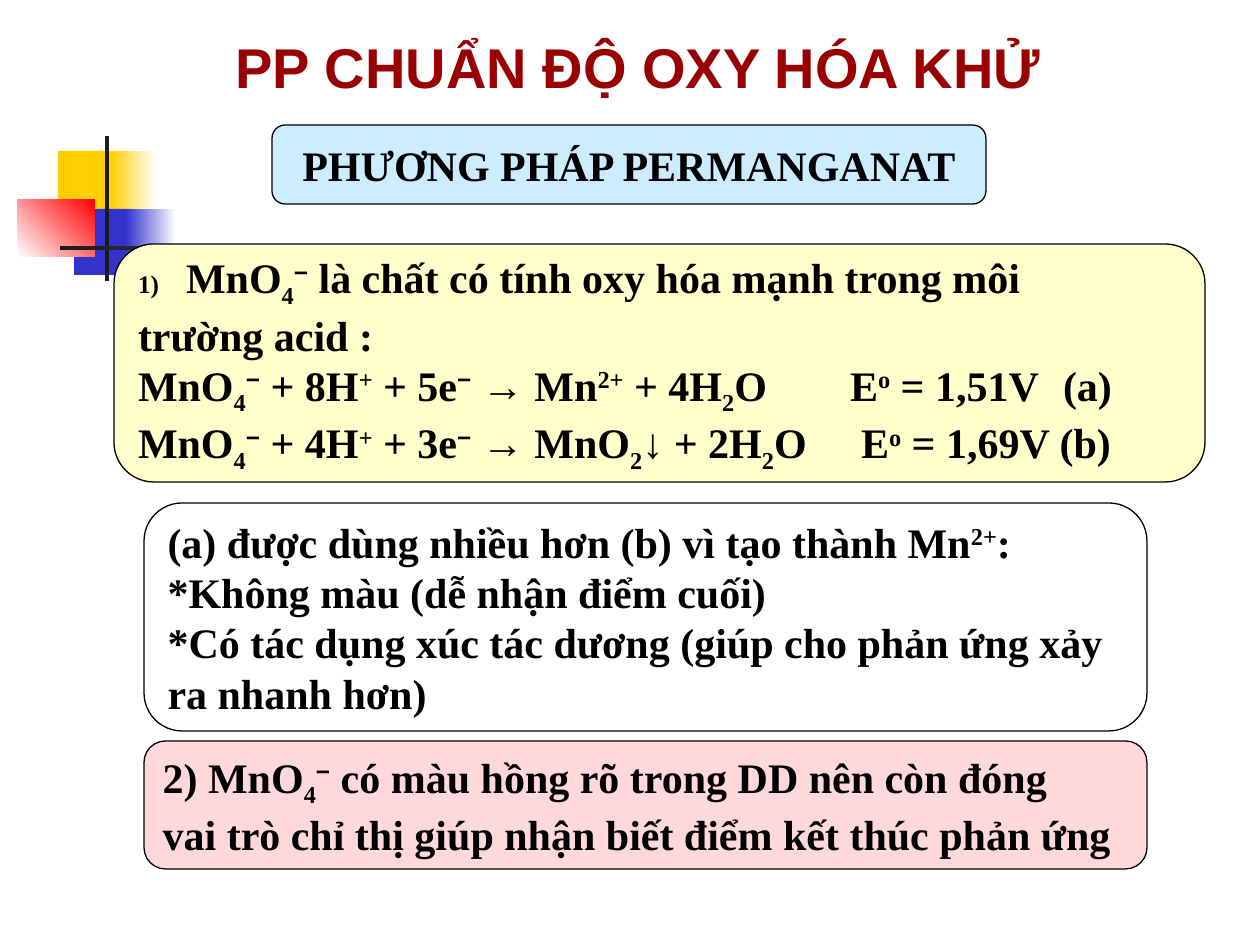
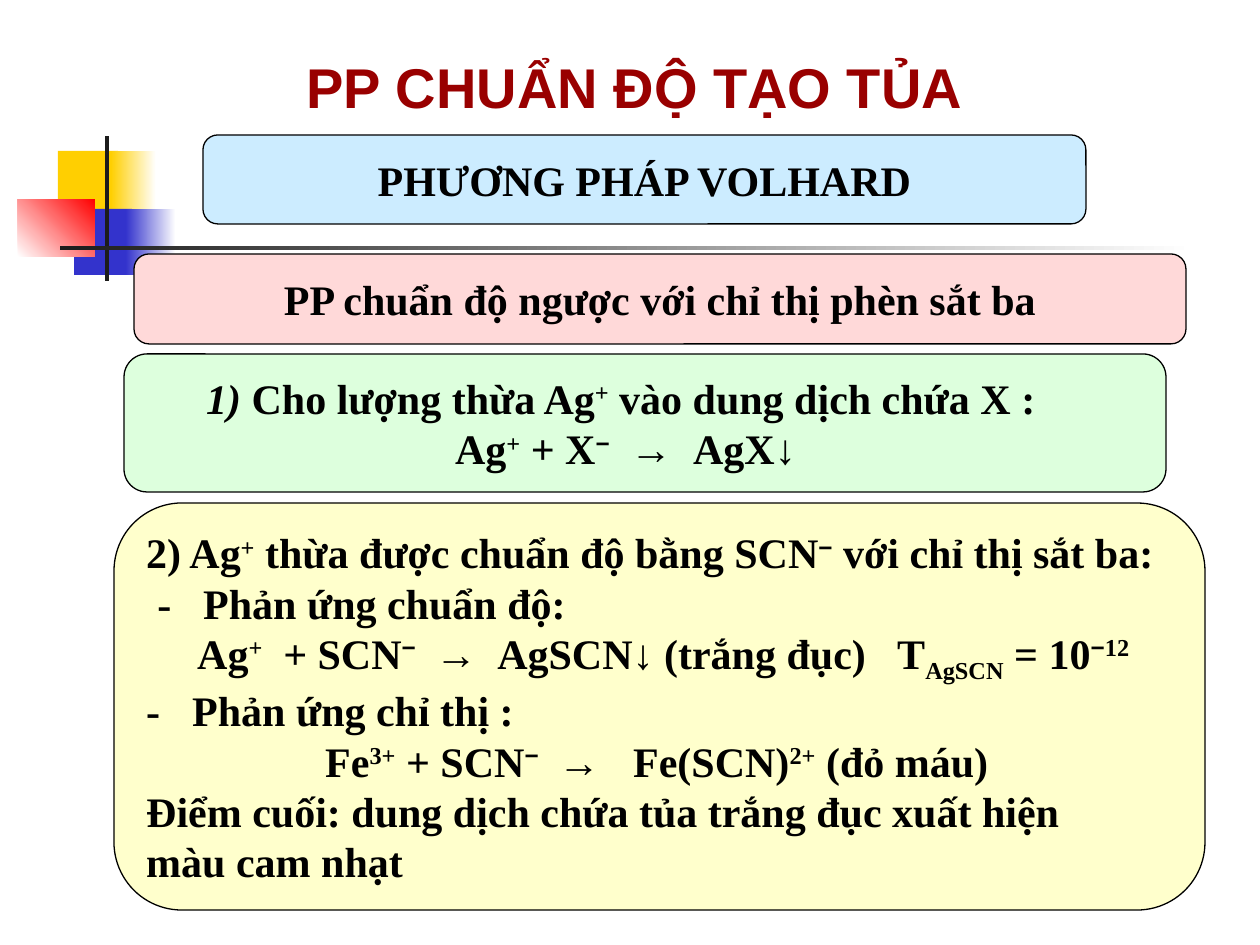
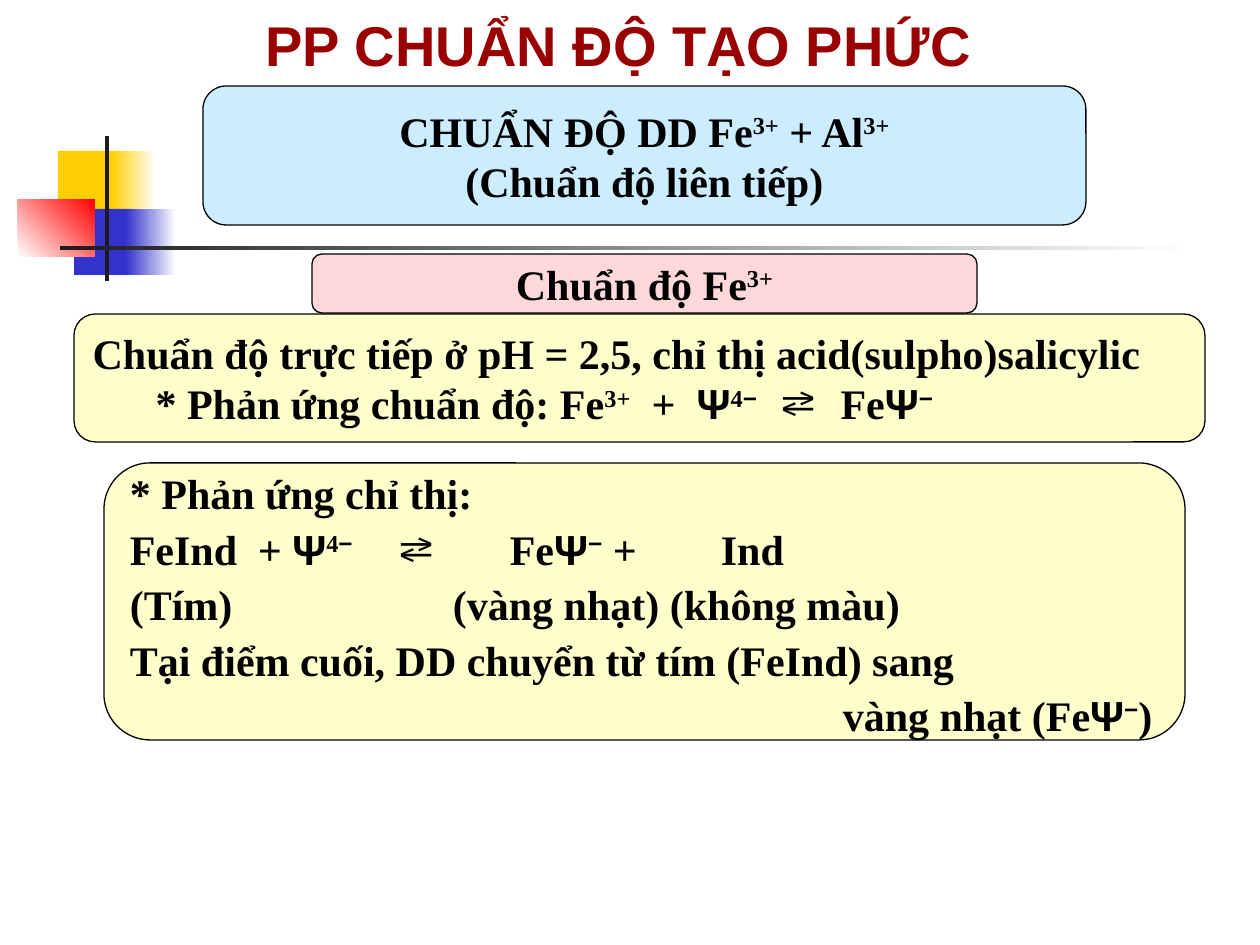
from dataclasses import dataclass
from itertools import groupby

from lxml import etree
from pptx import Presentation
from pptx.dml.color import RGBColor
from pptx.enum.shapes import MSO_SHAPE
from pptx.enum.text import MSO_ANCHOR, MSO_AUTO_SIZE, PP_ALIGN
from pptx.oxml.ns import qn
from pptx.util import Emu, Pt

RECT = MSO_SHAPE.RECTANGLE
ROUNDED = MSO_SHAPE.ROUNDED_RECTANGLE
MIDDLE = MSO_ANCHOR.MIDDLE
NO_AUTOFIT = MSO_AUTO_SIZE.NONE
LEFT = PP_ALIGN.LEFT
CENTER = PP_ALIGN.CENTER

PX_PER_INCH = 126
TITLE_ONLY = 5
SUB, SUP, ITALIC = "~^/"


def px(value):
    return Emu(round(value * 914400 / PX_PER_INCH))


@dataclass(frozen=True)
class Theme:
    title_font: str = "Arial"
    body_font: str = "Times New Roman"
    symbol_font: str = "Arial"
    symbols: str = "−↓→Ψ"
    title_size: int = 32
    body_size: int = 24
    number_size: int = 60
    outline: float = 0.75
    title: str = "990000"
    text: str = "000000"
    white: str = "FFFFFF"
    blue: str = "CCECFF"
    yellow: str = "FFFFCC"
    pink: str = "FFD9D9"
    green: str = "DDFFDD"
    band_yellow: str = "FFCF01"
    band_blue: str = "3333CC"
    band_red: str = "FF0000"
    band_dark: str = "1C1C1C"


@dataclass(frozen=True)
class Line:
    text: str
    tabs: tuple = ()
    indent: int = 0
    numbered: bool = False


class Deck:
    def __init__(self, theme):
        self.theme = theme
        self.prs = Presentation()
        self.prs.slide_width = px(1260)
        self.prs.slide_height = px(945)
        self.s = None

    def slide(self, title, box):
        self.s = self.prs.slides.add_slide(self.prs.slide_layouts[TITLE_ONLY])
        self.bands()
        self.title(title, box)

    def title(self, text, box):
        sp = self.s.shapes.title
        sp.left, sp.top, sp.width, sp.height = map(px, box)
        tf = sp.text_frame
        tf.text = text
        tf.word_wrap = True
        tf.auto_size = NO_AUTOFIT
        tf.vertical_anchor = MIDDLE
        p = tf.paragraphs[0]
        p.alignment = LEFT
        self.font(p.runs[0], self.theme.title_font, self.theme.title_size, self.theme.title)

    def bands(self):
        t = self.theme
        self.band((58, 151, 60, 66), t.band_yellow)
        self.band((111, 151, 45, 66), t.band_yellow, t.white)
        self.band((74, 209, 58, 66), t.band_blue)
        self.band((126, 209, 50, 66), t.band_blue, t.white)
        self.band((18, 199, 77, 58), t.white, t.band_red, 45)
        self.band((105, 136, 4, 145), t.band_dark)
        self.band((60, 246, 1134, 4), t.band_dark, t.white)

    def band(self, box, color, fade_to=None, angle=0):
        sp = self.shape(RECT, box)
        sp.line.fill.background()
        if fade_to is None:
            self.solid(sp.fill, color)
            return
        sp.fill.gradient()
        sp.fill.gradient_angle = angle
        for stop, value in zip(sp.fill.gradient_stops, (color, fade_to)):
            stop.color.rgb = RGBColor.from_string(value)

    def box(self, box, color, *lines, align=LEFT, spacing=None):
        sp = self.shape(ROUNDED, box)
        self.solid(sp.fill, color)
        self.solid(sp.line.fill, self.theme.text)
        sp.line.width = Pt(self.theme.outline)
        tf = sp.text_frame
        tf.word_wrap = True
        tf.vertical_anchor = MIDDLE
        for i, line in enumerate(lines):
            p = tf.add_paragraph() if i else tf.paragraphs[0]
            p.alignment = align
            if spacing:
                p.line_spacing = spacing
            self.layout_line(p, line)
            self.runs(p, line.text)

    def layout_line(self, p, line):
        pPr = p._p.get_or_add_pPr()
        if line.numbered:
            pPr.set("marL", str(px(48)))
            pPr.set("indent", str(px(-48)))
            etree.SubElement(pPr, qn("a:buSzPct"), val=str(self.theme.number_size * 1000))
            etree.SubElement(pPr, qn("a:buAutoNum"), type="arabicParenR")
        elif line.indent:
            pPr.set("marL", str(px(line.indent)))
            pPr.set("indent", "0")
        elif line.tabs:
            tabs = etree.SubElement(pPr, qn("a:tabLst"))
            for pos in line.tabs:
                etree.SubElement(tabs, qn("a:tab"), pos=str(px(pos)), algn="l")

    def runs(self, p, text):
        active, styled = set(), []
        for char in text:
            if char in (SUB, SUP, ITALIC):
                active ^= {char}
            else:
                styled.append((char, char in self.theme.symbols, frozenset(active)))
        for (symbol, marks), chars in groupby(styled, key=lambda item: item[1:]):
            r = p.add_run()
            r.text = "".join(item[0] for item in chars)
            name = self.theme.symbol_font if symbol else self.theme.body_font
            self.font(r, name, self.theme.body_size, self.theme.text)
            if ITALIC in marks:
                r.font.italic = True
            for mark, baseline in ((SUB, "-25000"), (SUP, "30000")):
                if mark in marks:
                    r._r.get_or_add_rPr().set("baseline", baseline)

    def shape(self, kind, box):
        sp = self.s.shapes.add_shape(kind, *map(px, box))
        sp.shadow.inherit = False
        return sp

    def solid(self, fill, color):
        fill.solid()
        fill.fore_color.rgb = RGBColor.from_string(color)

    def font(self, r, name, size, color):
        r.font.name = name
        r.font.size = Pt(size)
        r.font.bold = True
        r.font.color.rgb = RGBColor.from_string(color)


def permanganate(deck):
    t = deck.theme
    deck.slide("PP CHUẨN ĐỘ OXY HÓA KHỬ", (223, 26, 866, 81))
    deck.box((272, 125, 714, 79), t.blue, Line("PHƯƠNG PHÁP PERMANGANAT"), align=CENTER)
    deck.box(
        (114, 244, 1091, 238), t.yellow,
        Line("MnO~4~^−^ là chất có tính oxy hóa mạnh trong môi", numbered=True),
        Line("trường acid :"),
        Line("MnO~4~^−^ + 8H^+^ + 5e^−^ → Mn^2+^ + 4H~2~O\tE^o^ = 1,51V\t(a)", (712, 925)),
        Line("MnO~4~^−^ + 4H^+^ + 3e^−^ → MnO~2~↓ + 2H~2~O\tE^o^ = 1,69V (b)", (723,)),
    )
    deck.box(
        (144, 741, 1003, 128), t.pink,
        Line("2) MnO~4~^−^ có màu hồng rõ trong DD nên còn đóng"),
        Line("vai trò chỉ thị giúp nhận biết điểm kết thúc phản ứng"),
    )
    deck.box(
        (144, 503, 1003, 228), t.white,
        Line("(a) được dùng nhiều hơn (b) vì tạo thành Mn^2+^:"),
        Line("*Không màu (dễ nhận điểm cuối)"),
        Line("*Có tác dụng xúc tác dương (giúp cho phản ứng xảy"),
        Line("ra nhanh hơn)"),
    )


def volhard(deck):
    t = deck.theme
    deck.slide("PP CHUẨN ĐỘ TẠO TỦA", (294, 46, 730, 81))
    deck.box((203, 135, 883, 89), t.blue, Line("PHƯƠNG PHÁP VOLHARD"), align=CENTER)
    deck.box((134, 254, 1052, 90), t.pink,
             Line("PP chuẩn độ ngược với chỉ thị phèn sắt ba"), align=CENTER)
    deck.box(
        (124, 354, 1042, 138), t.green,
        Line("/1) /Cho lượng thừa Ag^+^ vào dung dịch chứa X :", indent=63),
        Line("\tAg^+^ + X^−^\t→\tAgX↓", (312, 487, 550)),
    )
    deck.box(
        (114, 503, 1091, 407), t.yellow,
        Line("2) Ag^+^ thừa được chuẩn độ bằng SCN^−^ với chỉ thị sắt ba:"),
        Line("\t-\tPhản ứng chuẩn độ:", (11, 57)),
        Line("\tAg^+^\t+ SCN^−^\t→\tAgSCN↓ (trắng đục)\tT~AgSCN~ = 10^−12^",
             (51, 137, 289, 351, 751)),
        Line("-\tPhản ứng chỉ thị :", (46,)),
        Line("\tFe^3+^ + SCN^−^\t→\tFe(SCN)^2+^ (đỏ máu)", (179, 412, 487)),
        Line("Điểm cuối: dung dịch chứa tủa trắng đục xuất hiện"),
        Line("màu cam nhạt"),
    )


def complexation(deck):
    t = deck.theme
    deck.slide("PP CHUẨN ĐỘ TẠO PHỨC", (253, 4, 779, 81))
    deck.box((203, 86, 883, 139), t.blue, Line("CHUẨN ĐỘ DD Fe^3+^ + Al^3+^"),
             Line("(Chuẩn độ liên tiếp)"), align=CENTER)
    deck.box(
        (74, 314, 1131, 128), t.yellow,
        Line("Chuẩn độ trực tiếp ở pH = 2,5, chỉ thị acid(sulpho)salicylic"),
        Line("\t* Phản ứng chuẩn độ: Fe^3+^\t+\tΨ^4−^\t⇄\tFeΨ^−^",
             (63, 559, 604, 686, 748)),
    )
    deck.box((312, 254, 665, 59), t.pink, Line("Chuẩn độ Fe^3+^"), align=CENTER)
    deck.box(
        (104, 463, 1081, 277), t.yellow,
        Line("* Phản ứng chỉ thị:"),
        Line("FeInd\t+ Ψ^4−^\t⇄\tFeΨ^−^ +\tInd", (128, 267, 380, 591)),
        Line("(Tím)\t(vàng nhạt) (không màu)", (323,)),
        Line("Tại điểm cuối, DD chuyển từ tím (FeInd) sang"),
        Line("vàng nhạt (FeΨ^−^)", indent=713),
        spacing=1.1,
    )


def main():
    deck = Deck(Theme())
    permanganate(deck)
    volhard(deck)
    complexation(deck)
    deck.prs.save("out.pptx")


if __name__ == "__main__":
    main()
